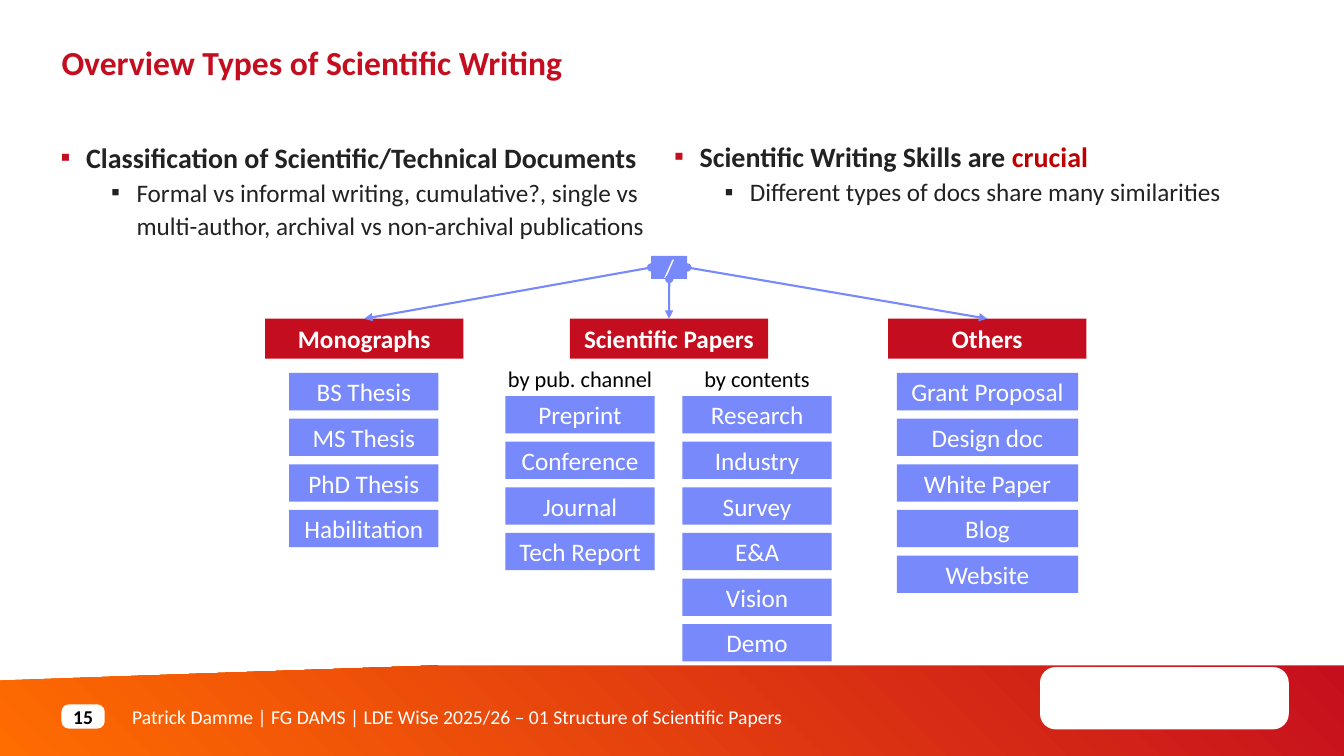
from dataclasses import dataclass
from typing import Optional

from lxml import etree
from pptx import Presentation
from pptx import util as u
from pptx.dml.color import RGBColor
from pptx.enum import shapes, text
from pptx.oxml import ns


@dataclass(frozen=True)
class Theme:
    font: str = "Calibri"
    red: str = "C40D1E"
    crucial: str = "C00000"
    orange: str = "FF6C00"
    blue: str = "7889FB"
    ink: str = "222222"
    black: str = "000000"
    white: str = "FFFFFF"
    title: int = 24
    lead: int = 20
    body: int = 18
    label: int = 16
    footer: int = 14


@dataclass(frozen=True)
class Box:
    """Position and size in centimetres."""
    x: float
    y: float
    w: float
    h: float

    def emu(self) -> tuple:
        return u.Cm(self.x), u.Cm(self.y), u.Cm(self.w), u.Cm(self.h)


@dataclass(frozen=True)
class Run:
    text: str
    size: int
    color: str
    bold: bool = False


@dataclass(frozen=True)
class Bullet:
    runs: list
    level: int = 0


@dataclass(frozen=True)
class Header:
    name: str
    x: float
    root_site: int  # connection site on the root: 1 left, 2 bottom, 3 right


@dataclass(frozen=True)
class Column:
    x: float
    y: float
    w: float
    items: list
    label: Optional[str] = None


T = Theme()
RECT = shapes.MSO_SHAPE.RECTANGLE
ROUNDED = shapes.MSO_SHAPE.ROUNDED_RECTANGLE
HEADER_Y, HEADER_W, HEADER_H = 8.03, 5, 1.01
ITEM_H, ITEM_STEP = 0.94, 1.15
LABEL_Y, LABEL_W = 9.07, 4.2

HEADERS = [
    Header("Monographs", 6.68, 1),
    Header("Scientific Papers", 14.36, 2),
    Header("Others", 22.38, 3),
]
COLUMNS = [
    Column(7.29, 9.4, 3.76, ["BS Thesis", "MS Thesis", "PhD Thesis", "Habilitation"]),
    Column(12.74, 9.98, 3.76, ["Preprint", "Conference", "Journal", "Tech Report"],
           "by pub. channel"),
    Column(17.2, 9.98, 3.76,
           ["Research", "Industry", "Survey", "E&A", "Vision", "Demo"], "by contents"),
    Column(22.6, 9.4, 4.57,
           ["Grant Proposal", "Design doc", "White Paper", "Blog", "Website"]),
]
LEFT_LIST = [
    Bullet([Run("Classification of Scientific/Technical Documents", T.lead, T.ink, True)]),
    Bullet([Run("Formal vs informal writing, cumulative?, single vs multi-author, "
                "archival vs non-archival publications", T.body, T.ink)], 1),
]
RIGHT_LIST = [
    Bullet([Run("Scientific Writing Skills are ", T.lead, T.ink, True),
            Run("crucial", T.lead, T.crucial, True)]),
    Bullet([Run("Different types of docs share many similarities", T.body, T.ink)], 1),
]


def rgb(color: str) -> RGBColor:
    return RGBColor.from_string(color)


def add_run(p, run: Run) -> None:
    r = p.add_run()
    r.text = run.text
    r.font.name, r.font.size, r.font.bold = T.font, u.Pt(run.size), run.bold
    r.font.color.rgb = rgb(run.color)


def no_margins(tf) -> None:
    tf.margin_left = tf.margin_top = tf.margin_right = tf.margin_bottom = 0


def add_box(s, box: Box, fill: str, run: Optional[Run] = None, kind=RECT):
    sp = s.shapes.add_shape(kind, *box.emu())
    sp.shadow.inherit = False
    sp.fill.solid()
    sp.fill.fore_color.rgb = rgb(fill)
    sp.line.fill.background()
    if run:
        tf = sp.text_frame
        tf.vertical_anchor = text.MSO_ANCHOR.MIDDLE
        tf.paragraphs[0].alignment = text.PP_ALIGN.CENTER
        add_run(tf.paragraphs[0], run)
    return sp


def place(sp, box: Box):
    """Move a placeholder and clear its inner layout."""
    sp.left, sp.top, sp.width, sp.height = box.emu()
    tf = sp.text_frame
    no_margins(tf)
    tf.word_wrap = True
    tf.auto_size = text.MSO_AUTO_SIZE.NONE
    tf.vertical_anchor = text.MSO_ANCHOR.TOP
    return tf


def fill_title(sp, box: Box, run: Run) -> None:
    p = place(sp, box).paragraphs[0]
    p.alignment = text.PP_ALIGN.LEFT
    p.line_spacing = u.Pt(28)
    add_run(p, run)


def fill_list(sp, box: Box, bullets: list) -> None:
    tf = place(sp, box)
    for i, bullet in enumerate(bullets):
        p = tf.paragraphs[0] if i == 0 else tf.add_paragraph()
        p.level = bullet.level
        pPr = p._p.get_or_add_pPr()
        pPr.set("marL", str(u.Cm(1.91 if bullet.level else 0.64)))
        pPr.set("indent", str(u.Cm(-0.64)))
        color = etree.SubElement(pPr, ns.qn("a:buClr"))
        etree.SubElement(color, ns.qn("a:srgbClr"), val=T.ink if bullet.level else T.red)
        etree.SubElement(pPr, ns.qn("a:buChar"), char="▪")
        p.line_spacing, p.space_before = u.Pt(24), u.Pt(0)
        for run in bullet.runs:
            add_run(p, run)


def add_text(s, box: Box, run: Run):
    sp = s.shapes.add_textbox(*box.emu())
    add_run(sp.text_frame.paragraphs[0], run)
    return sp


def add_arrow(s, root, site: int, target) -> None:
    c = s.shapes.add_connector(shapes.MSO_CONNECTOR.STRAIGHT, 0, 0, 0, 0)
    c.begin_connect(root, site)
    c.end_connect(target, 0)
    c.line.color.rgb, c.line.width = rgb(T.blue), u.Pt(1.5)
    ln = c.line._get_or_add_ln()
    etree.SubElement(ln, ns.qn("a:headEnd"), type="oval")
    etree.SubElement(ln, ns.qn("a:tailEnd"), type="triangle")
    etree.SubElement(c._element.spPr, ns.qn("a:effectLst"))


def add_footer(s) -> None:
    # Gradient band with a slanted top, levelled on the right
    fb = s.shapes.build_freeform(0, u.Cm(17.15))
    corners = [(33.87, 15.98), (33.87, 19.05), (0, 19.05)]
    fb.add_line_segments([(u.Cm(x), u.Cm(y)) for x, y in corners])
    band = fb.convert_to_shape()
    band.shadow.inherit = False
    band.line.fill.background()
    band.fill.gradient()
    band.fill.gradient_angle = 45
    for stop, color, position in zip(band.fill.gradient_stops, (T.orange, T.red), (0, 1)):
        stop.color.rgb, stop.position = rgb(color), position
    add_box(s, Box(11.05, 15.75, 22.82, 1.02), T.white)

    # Footer line, plain badge and page number
    tf = add_text(s, Box(3.33, 17.75, 21.16, 0.61),
                  Run("Patrick Damme | FG DAMS | LDE WiSe 2025/26 – "
                      "01 Structure of Scientific Papers", T.footer, T.white)).text_frame
    no_margins(tf)
    tf.word_wrap = True
    tf.vertical_anchor = text.MSO_ANCHOR.MIDDLE
    add_box(s, Box(26.21, 16.81, 6.27, 1.57), T.white, kind=ROUNDED).adjustments[0] = 0.25
    number = add_box(s, Box(1.55, 17.75, 1.09, 0.61), T.white,
                     Run("15", T.footer, T.black, True), ROUNDED)
    number.adjustments[0] = 0.3
    no_margins(number.text_frame)


def add_tree(s) -> None:
    # Root and category headers
    root = add_box(s, Box(16.41, 6.45, 0.91, 0.58), T.blue, Run("/", T.body, T.white))
    for header in HEADERS:
        sp = add_box(s, Box(header.x, HEADER_Y, HEADER_W, HEADER_H), T.red,
                     Run(header.name, T.body, T.white, True))
        add_arrow(s, root, header.root_site, sp)

    # Document types below each header
    for col in COLUMNS:
        for i, item in enumerate(col.items):
            add_box(s, Box(col.x, col.y + i * ITEM_STEP, col.w, ITEM_H), T.blue,
                    Run(item, T.body, T.white))
        if col.label:
            tf = add_text(s, Box(col.x + (col.w - LABEL_W) / 2, LABEL_Y, LABEL_W, ITEM_H),
                          Run(col.label, T.label, T.black)).text_frame
            tf.word_wrap = False
            tf.paragraphs[0].alignment = text.PP_ALIGN.CENTER


def main() -> None:
    prs = Presentation()
    prs.slide_width, prs.slide_height = u.Cm(33.87), u.Cm(19.05)
    s = prs.slides.add_slide(prs.slide_layouts[3])
    title, left, right = s.placeholders
    fill_title(title, Box(1.55, 1.09, 23.09, 1.98),
               Run("Overview Types of Scientific Writing", T.title, T.red, True))
    fill_list(left, Box(1.53, 3.53, 15.39, 2.62), LEFT_LIST)
    fill_list(right, Box(16.99, 3.51, 15.39, 2.62), RIGHT_LIST)
    add_footer(s)
    add_tree(s)
    prs.save("out.pptx")


if __name__ == "__main__":
    main()
